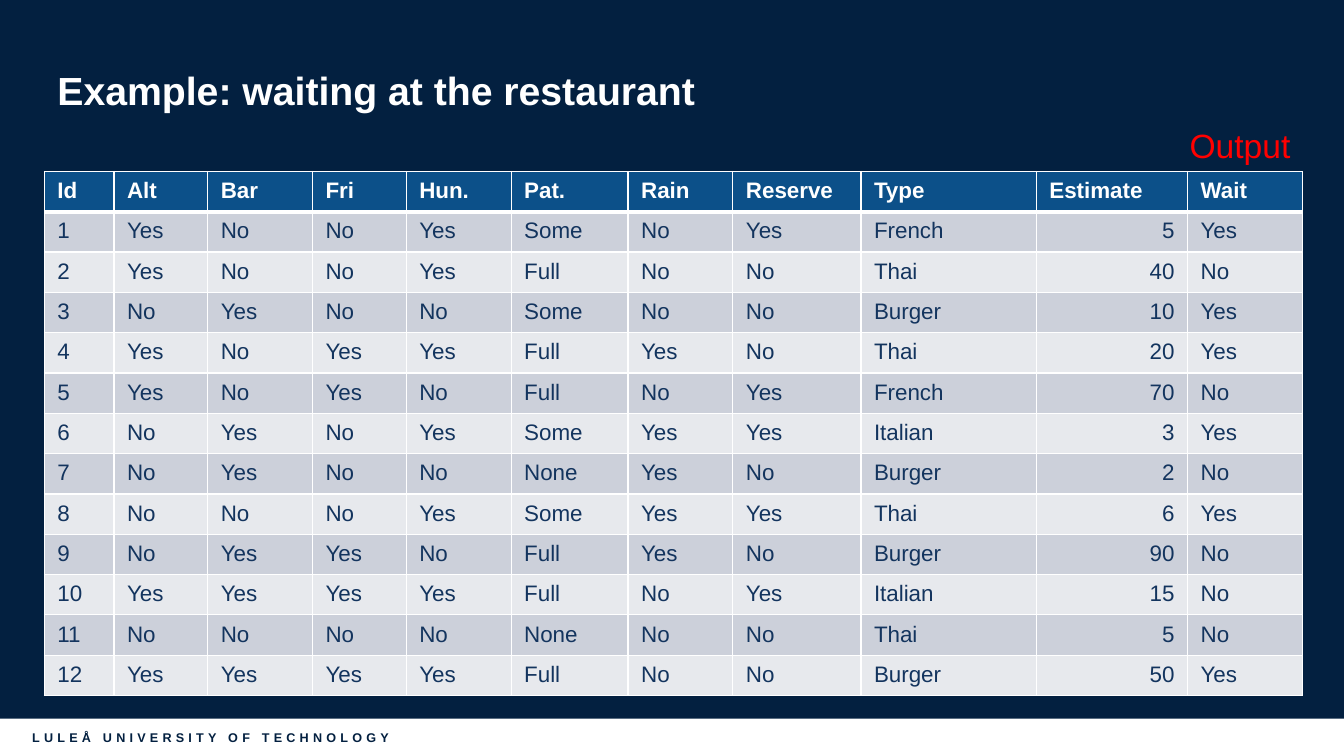
from dataclasses import dataclass

from lxml.etree import SubElement
from pptx import Presentation
from pptx.dml.color import RGBColor
from pptx.enum.shapes import MSO_SHAPE
from pptx.enum.text import MSO_ANCHOR, MSO_AUTO_SIZE, PP_ALIGN
from pptx.oxml import parse_xml
from pptx.oxml.ns import nsdecls, qn
from pptx.util import Inches, Pt


@dataclass(frozen=True)
class Theme:
    font: str = "Arial"
    navy: str = "032040"
    white: str = "FFFFFF"
    red: str = "FF0000"
    header: str = "0C5089"
    ink: str = "13345E"
    bands: tuple = ("CCD0DA", "E7E9ED")
    title_size: int = 28
    label_size: int = 24
    cell_size: int = 16
    footer_size: int = 9


class SlideBuilder:
    """Draws styled elements on one title-only slide."""

    def __init__(self, prs, theme):
        self.theme = theme
        self.slide = prs.slides.add_slide(prs.slide_layouts[5])
        fill = self.slide.background.fill
        fill.solid()
        fill.fore_color.rgb = RGBColor.from_string(theme.navy)

    def run(self, p, text, size, color, bold=False):
        r = p.add_run()
        r.text = text
        r.font.name = self.theme.font
        r.font.size = Pt(size)
        r.font.bold = bold
        r.font.color.rgb = RGBColor.from_string(color)
        return r

    def title(self, text, left, top, width, height):
        sp = self.slide.shapes.title
        sp.left, sp.top = Inches(left), Inches(top)
        sp.width, sp.height = Inches(width), Inches(height)
        tf = sp.text_frame
        tf.auto_size = MSO_AUTO_SIZE.NONE
        tf.vertical_anchor = MSO_ANCHOR.MIDDLE
        p = tf.paragraphs[0]
        p.alignment = PP_ALIGN.LEFT
        p.line_spacing = 0.9
        self.run(p, text, self.theme.title_size, self.theme.white, True)

    def label(self, text, left, top, width, height):
        sp = self.slide.shapes.add_textbox(
            Inches(left), Inches(top), Inches(width), Inches(height))
        tf = sp.text_frame
        tf.word_wrap = False
        tf.auto_size = MSO_AUTO_SIZE.SHAPE_TO_FIT_TEXT
        self.run(tf.paragraphs[0], text, self.theme.label_size, self.theme.red)

    def footer(self, text, left, top, width, height):
        sp = self.slide.shapes.add_shape(
            MSO_SHAPE.RECTANGLE, Inches(left), Inches(top), Inches(width), Inches(height))
        sp.shadow.inherit = False
        sp.fill.solid()
        sp.fill.fore_color.rgb = RGBColor.from_string(self.theme.white)
        sp.line.fill.background()
        tf = sp.text_frame
        tf.margin_left = Inches(0.32)
        tf.vertical_anchor = MSO_ANCHOR.MIDDLE
        p = tf.paragraphs[0]
        p.alignment = PP_ALIGN.LEFT
        r = self.run(p, text, self.theme.footer_size, self.theme.navy, True)
        r.font._element.set("spc", "300")

    def borders(self, cell, top, bottom):
        tcPr = cell._tc.get_or_add_tcPr()
        widths = {"lnL": 1, "lnR": 1, "lnT": top, "lnB": bottom}
        for i, (side, width) in enumerate(widths.items()):
            ln = parse_xml(f'<a:{side} {nsdecls("a")} w="{Pt(width)}"/>')
            fill = SubElement(ln, qn("a:solidFill"))
            SubElement(fill, qn("a:srgbClr")).set("val", self.theme.white)
            tcPr.insert(i, ln)

    def cell(self, cell, text, fill, color, bold, align):
        cell.fill.solid()
        cell.fill.fore_color.rgb = RGBColor.from_string(fill)
        cell.margin_left = cell.margin_right = Inches(0.13)
        cell.margin_top = cell.margin_bottom = Inches(0.07)
        p = cell.text_frame.paragraphs[0]
        p.alignment = align
        self.run(p, text, self.theme.cell_size, color, bold)

    def table(self, rows, widths, right_column, left, top, row_height):
        t = self.theme
        table = self.slide.shapes.add_table(
            len(rows), len(widths), Inches(left), Inches(top),
            Inches(sum(widths)), Inches(row_height * len(rows))).table
        for column, width in zip(table.columns, widths):
            column.width = Inches(width)
        for i, row in enumerate(rows):
            table.rows[i].height = Inches(row_height)
            is_header = i == 0
            fill = t.header if is_header else t.bands[(i - 1) % 2]
            color = t.white if is_header else t.ink
            for j, text in enumerate(row):
                is_right = j == right_column and not is_header
                align = PP_ALIGN.RIGHT if is_right else PP_ALIGN.LEFT
                cell = table.cell(i, j)
                self.cell(cell, text, fill, color, is_header, align)
                self.borders(cell, 3 if i == 1 else 1, 3 if is_header else 1)


HEADER = "Id Alt Bar Fri Hun. Pat. Rain Reserve Type Estimate Wait"
EXAMPLES = """\
Yes No No Yes Some No Yes French 5 Yes
Yes No No Yes Full No No Thai 40 No
No Yes No No Some No No Burger 10 Yes
Yes No Yes Yes Full Yes No Thai 20 Yes
Yes No Yes No Full No Yes French 70 No
No Yes No Yes Some Yes Yes Italian 3 Yes
No Yes No No None Yes No Burger 2 No
No No No Yes Some Yes Yes Thai 6 Yes
No Yes Yes No Full Yes No Burger 90 No
Yes Yes Yes Yes Full No Yes Italian 15 No
No No No No None No No Thai 5 No
Yes Yes Yes Yes Full No No Burger 50 Yes"""
WIDTHS = [0.69, 0.93, 1.04, 0.93, 1.04, 1.16, 1.04, 1.27, 1.74, 1.5, 1.14]


def main():
    prs = Presentation()
    prs.slide_width, prs.slide_height = Inches(13.33), Inches(7.5)
    s = SlideBuilder(prs, Theme())
    header = HEADER.split()
    examples = [[str(n), *line.split()] for n, line in enumerate(EXAMPLES.splitlines(), 1)]
    s.footer("LULEÅ UNIVERSITY OF TECHNOLOGY", 0, 7.13, 13.33, 0.37)
    s.title("Example: waiting at the restaurant", 0.47, 0.26, 12.39, 1.32)
    s.table([header, *examples], WIDTHS, header.index("Estimate"), 0.44, 1.7, 0.4)
    s.label("Output", 11.7, 1.19, 1.21, 0.5)
    prs.save("out.pptx")


if __name__ == "__main__":
    main()
